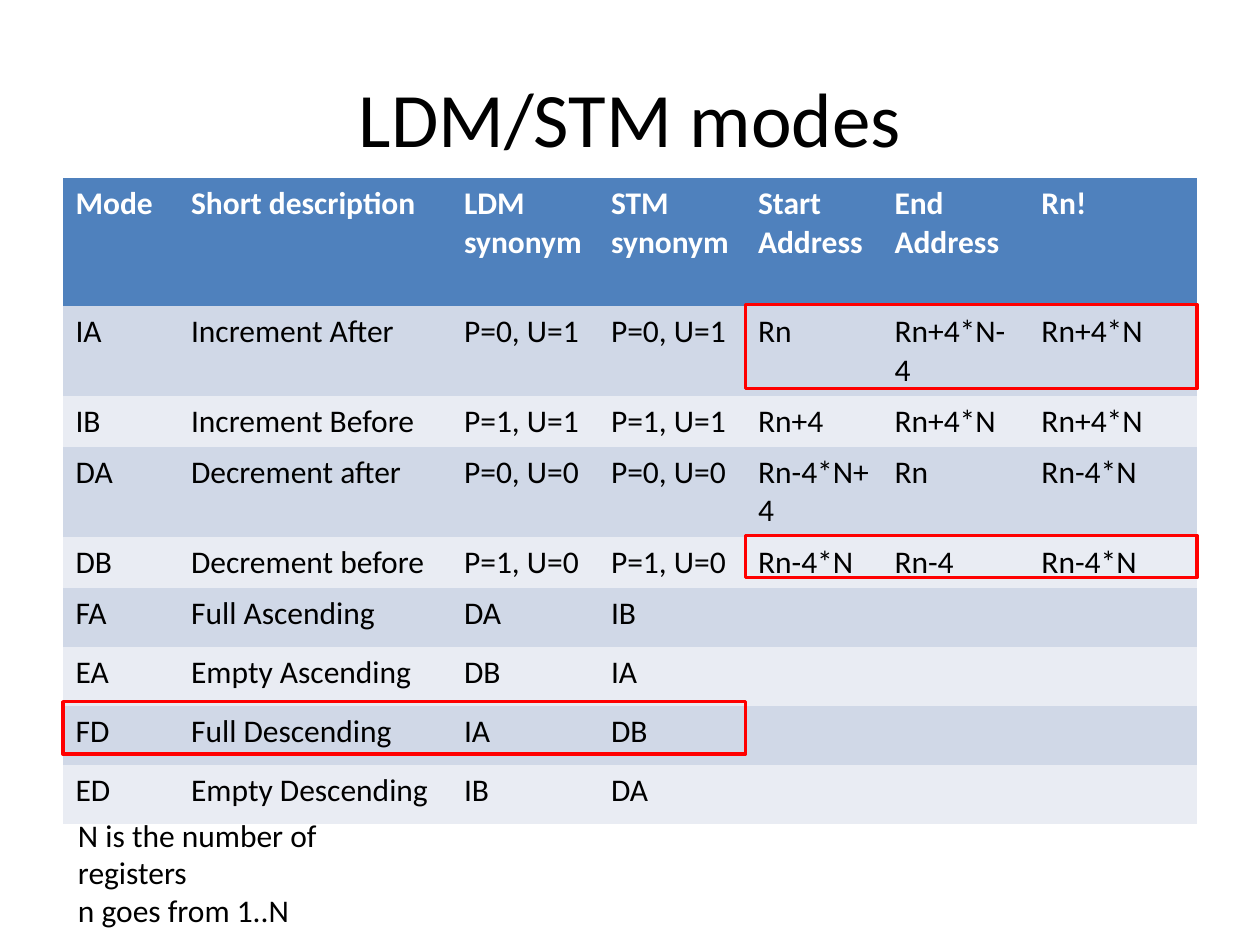
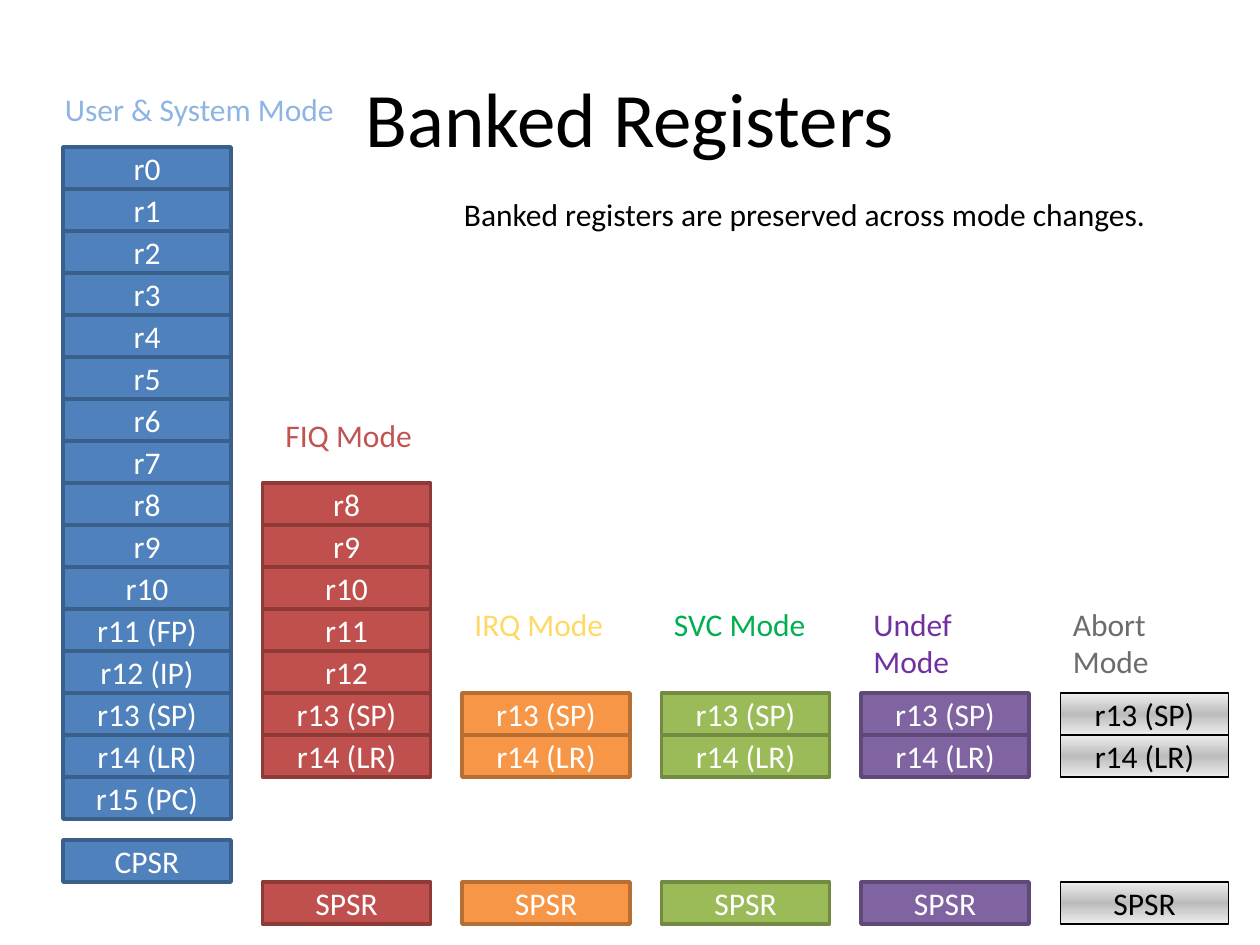
from copy import deepcopy

from pptx import Presentation
from pptx.dml.color import RGBColor
from pptx.enum.shapes import MSO_SHAPE
from pptx.enum.text import MSO_ANCHOR, MSO_AUTO_SIZE, PP_ALIGN
from pptx.oxml.ns import qn
from pptx.util import Pt

FONT = "Calibri"
BLACK = RGBColor(0x00, 0x00, 0x00)
WHITE = RGBColor(0xFF, 0xFF, 0xFF)
HIGHLIGHT = RGBColor(0xFF, 0x00, 0x00)
BLUE = RGBColor(0x4F, 0x81, 0xBD)
DARK_BLUE = RGBColor(0x3A, 0x5F, 0x8B)
LIGHT_BLUE = RGBColor(0x8E, 0xB4, 0xE3)
RED = RGBColor(0xC0, 0x50, 0x4D)
DARK_RED = RGBColor(0x8E, 0x3B, 0x38)
LABEL_RED = RGBColor(0xC1, 0x54, 0x51)
ORANGE = RGBColor(0xF7, 0x96, 0x46)
DARK_ORANGE = RGBColor(0xB6, 0x6E, 0x33)
YELLOW = RGBColor(0xFF, 0xD9, 0x66)
GREEN = RGBColor(0x9B, 0xBB, 0x59)
DARK_GREEN = RGBColor(0x72, 0x8A, 0x41)
LABEL_GREEN = RGBColor(0x00, 0xB0, 0x50)
PURPLE = RGBColor(0x80, 0x64, 0xA2)
DARK_PURPLE = RGBColor(0x5E, 0x49, 0x77)
LABEL_PURPLE = RGBColor(0x70, 0x30, 0xA0)
GREY = RGBColor(0x6C, 0x6C, 0x6C)
SILVER = RGBColor(0xED, 0xED, 0xED)
MID_SILVER = RGBColor(0xBC, 0xBC, 0xBC)
ODD_BAND = RGBColor(0xD0, 0xD8, 0xE7)
EVEN_BAND = RGBColor(0xE9, 0xEC, 0xF3)
NO_TABLE_STYLE = "{2D5ABB26-0587-4C30-8999-92F81FD0307C}"

# Content: load/store multiple modes
MODES = [
    ("Mode", "Short description", "LDM synonym", "STM synonym",
     "Start Address", "End Address", "Rn!"),
    ("IA", "Increment After", "P=0, U=1", "P=0, U=1", "Rn", "Rn+4*N-4", "Rn+4*N"),
    ("IB", "Increment Before", "P=1, U=1", "P=1, U=1", "Rn+4", "Rn+4*N", "Rn+4*N"),
    ("DA", "Decrement after", "P=0, U=0", "P=0, U=0", "Rn-4*N+4", "Rn", "Rn-4*N"),
    ("DB", "Decrement before", "P=1, U=0", "P=1, U=0", "Rn-4*N", "Rn-4", "Rn-4*N"),
    ("FA", "Full Ascending", "DA", "IB", "", "", ""),
    ("EA", "Empty Ascending", "DB", "IA", "", "", ""),
    ("FD", "Full Descending", "IA", "DB", "", "", ""),
    ("ED", "Empty Descending", "IB", "DA", "", "", ""),
]
COLUMN_WIDTHS = [66, 156, 84, 84, 78, 84, 96]
ROW_HEIGHTS = [73.1, 51.3, 29.2, 51.3, 29.2] + [33.75] * 4
HIGHLIGHTS = [(36, 401, 390, 30), (426, 174, 258, 48), (426, 306, 258, 24)]
NOTE = "N is the number of registers\nn goes from 1..N"

# Content: register banks, one column each
STACK_REGISTERS = ["r13 (SP)", "r14 (LR)"]
USER_REGISTERS = ([f"r{number}" for number in range(11)]
                  + ["r11 (FP)", "r12 (IP)"] + STACK_REGISTERS + ["r15 (PC)"])
FIQ_REGISTERS = [f"r{number}" for number in range(8, 13)] + STACK_REGISTERS
# label, label place, label colour, first register, registers, fill, line
BANKS = [
    ("User & System Mode", (30, 48, 198, 29), LIGHT_BLUE, 0, USER_REGISTERS, BLUE, DARK_BLUE),
    ("FIQ Mode", (156, 234, 96, 29), LABEL_RED, 8, FIQ_REGISTERS, RED, DARK_RED),
    ("IRQ Mode", (264, 342, 96, 29), YELLOW, 13, STACK_REGISTERS, ORANGE, DARK_ORANGE),
    ("SVC Mode", (378, 342, 96, 29), LABEL_GREEN, 13, STACK_REGISTERS, GREEN, DARK_GREEN),
    ("Undef Mode", (492, 342, 96, 50.4), LABEL_PURPLE, 13, STACK_REGISTERS, PURPLE, DARK_PURPLE),
    ("Abort Mode", (606, 342, 96, 50.4), GREY, 13, STACK_REGISTERS,
     (SILVER, MID_SILVER, SILVER), BLACK),
]
BANK_LEFT, BANK_TOP, BANK_PITCH = 36, 84, 114
REGISTER_WIDTH, REGISTER_HEIGHT = 96, 24
CPSR_TOP, SPSR_TOP = 480, 504


def write(frame, text, size=18, color=BLACK, bold=False, align=PP_ALIGN.LEFT):
    """Put text in a frame, one paragraph per line."""
    for index, line in enumerate(text.split("\n")):
        para = frame.paragraphs[0] if index == 0 else frame.add_paragraph()
        para.alignment = align
        para.font.size = Pt(size)
        span = para.add_run()
        span.text = line
        span.font.name = FONT
        span.font.size = Pt(size)
        span.font.bold = bold
        span.font.color.rgb = color


def add_titled_page(deck, title):
    page = deck.slides.add_slide(deck.slide_layouts[5])
    box = page.shapes.title
    box.left, box.top, box.width, box.height = map(Pt, (36, 21.6, 648, 90))
    box.text_frame.vertical_anchor = MSO_ANCHOR.MIDDLE
    write(box.text_frame, title, size=44, align=PP_ALIGN.CENTER)
    return page


def add_text(page, place, text, wrap=True, **text_format):
    box = page.shapes.add_textbox(*map(Pt, place))
    box.text_frame.word_wrap = wrap
    box.text_frame.auto_size = MSO_AUTO_SIZE.SHAPE_TO_FIT_TEXT
    write(box.text_frame, text, **text_format)


def add_box(page, place, line, line_width=2):
    box = page.shapes.add_shape(MSO_SHAPE.RECTANGLE, *map(Pt, place))
    box.shadow.inherit = False
    box.fill.background()
    box.line.color.rgb = line
    box.line.width = Pt(line_width)
    return box


def fill_gradient(box, colors):
    """Fill a box from top to bottom with evenly spaced colours."""
    box.fill.gradient()
    box.fill.gradient_angle = 90
    stop_list = box._element.spPr.find(".//" + qn("a:gsLst"))
    while len(stop_list) < len(colors):
        stop_list.append(deepcopy(stop_list[0]))
    for index, (stop, color) in enumerate(zip(box.fill.gradient_stops, colors)):
        stop.position = index / (len(colors) - 1)
        stop.color.rgb = color


def add_register(page, left, top, name, fill, line):
    shaded = isinstance(fill, tuple) and not isinstance(fill, RGBColor)
    box = add_box(page, (left, top, REGISTER_WIDTH, REGISTER_HEIGHT), line,
                  line_width=0.75 if shaded else 2)
    if shaded:
        fill_gradient(box, fill)
    else:
        box.fill.solid()
        box.fill.fore_color.rgb = fill
    box.text_frame.vertical_anchor = MSO_ANCHOR.MIDDLE
    write(box.text_frame, name, color=BLACK if shaded else WHITE, align=PP_ALIGN.CENTER)


def add_mode_table(page):
    frame = page.shapes.add_table(len(MODES), len(COLUMN_WIDTHS), Pt(36), Pt(102),
                                  Pt(sum(COLUMN_WIDTHS)), Pt(sum(ROW_HEIGHTS)))
    table = frame.table
    table._tbl.tblPr.find(qn("a:tableStyleId")).text = NO_TABLE_STYLE
    for column, width in zip(table.columns, COLUMN_WIDTHS):
        column.width = Pt(width)
    for row, height in zip(table.rows, ROW_HEIGHTS):
        row.height = Pt(height)
    for row_index, values in enumerate(MODES):
        header = row_index == 0
        band = BLUE if header else ODD_BAND if row_index % 2 else EVEN_BAND
        for column_index, value in enumerate(values):
            cell = table.cell(row_index, column_index)
            cell.fill.solid()
            cell.fill.fore_color.rgb = band
            if value:
                write(cell.text_frame, value, color=WHITE if header else BLACK, bold=header)


def build_modes_page(deck):
    page = add_titled_page(deck, "LDM/STM modes")
    add_mode_table(page)
    add_text(page, (37.5, 462.5, 216.5, 50.4), NOTE, wrap=False)
    for place in HIGHLIGHTS:
        add_box(page, place, HIGHLIGHT)


def build_registers_page(deck):
    page = add_titled_page(deck, "Banked Registers")
    for index, (label, place, color, first, registers, fill, line) in enumerate(BANKS):
        left = BANK_LEFT + index * BANK_PITCH
        for number, name in enumerate(registers, first):
            add_register(page, left, BANK_TOP + number * REGISTER_HEIGHT, name, fill, line)
        # Status register below each bank
        status, top = ("CPSR", CPSR_TOP) if index == 0 else ("SPSR", SPSR_TOP)
        add_register(page, left, top, status, fill, line)
        add_text(page, place, label, color=color)
    add_text(page, (258, 108, 450, 29), "Banked registers are preserved across mode changes.")


def main():
    deck = Presentation()
    deck.slide_width, deck.slide_height = Pt(720), Pt(540)
    build_modes_page(deck)
    build_registers_page(deck)
    deck.save("out.pptx")


if __name__ == "__main__":
    main()
